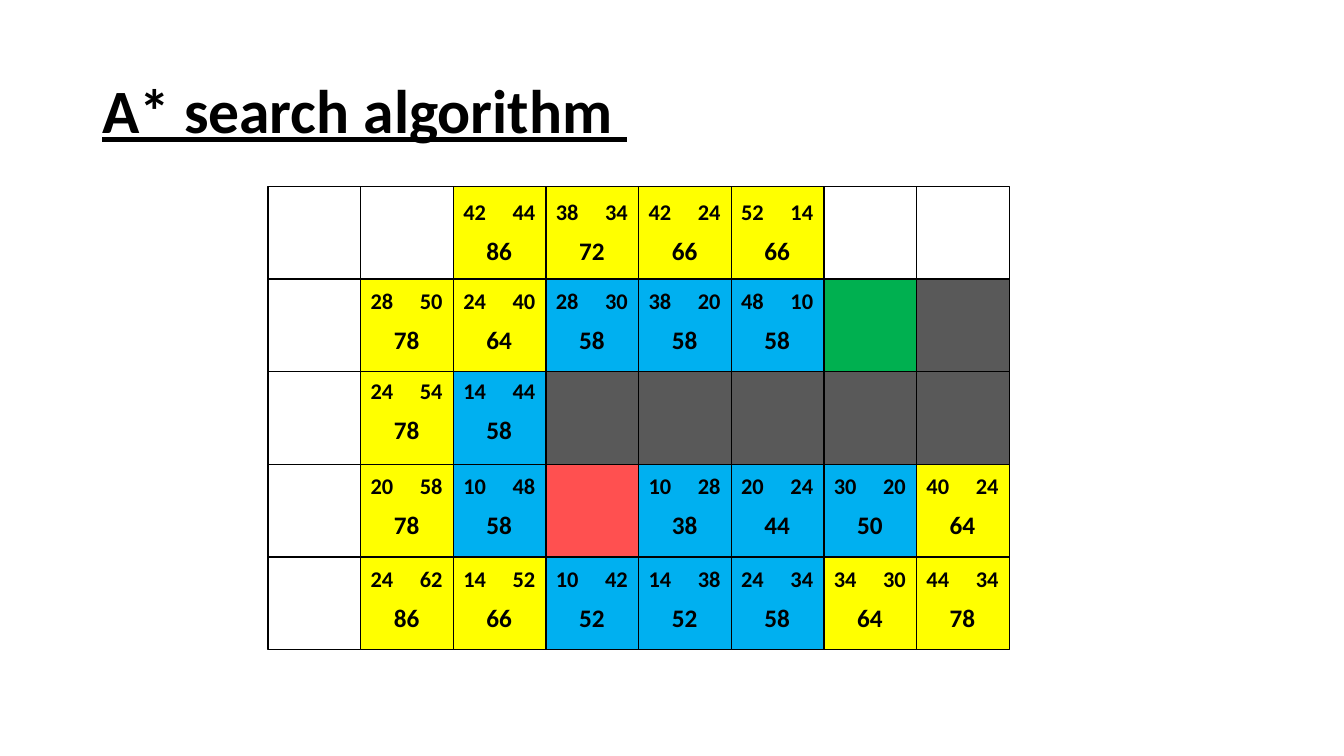
from pptx import Presentation
from pptx import util as u
from pptx.dml.color import RGBColor
from pptx.enum import shapes, text

BLACK = "000000"
FILLS = {"open": "FFFF00", "closed": "00B0F0", "wall": "595959",
         "start": "FF5050", "goal": "00B050", "empty": None}

# Each node: state, then cost from start (g) and estimate to goal (h) if known
GRID = [
    ["empty", "empty", "open 42 44", "open 38 34",
     "open 42 24", "open 52 14", "empty", "empty"],
    ["empty", "open 28 50", "open 24 40", "closed 28 30",
     "closed 38 20", "closed 48 10", "goal", "wall"],
    ["empty", "open 24 54", "closed 14 44", "wall",
     "wall", "wall", "wall", "wall"],
    ["empty", "open 20 58", "closed 10 48", "start",
     "closed 10 28", "closed 20 24", "closed 30 20", "open 40 24"],
    ["empty", "open 24 62", "open 14 52", "closed 10 42",
     "closed 14 38", "closed 24 34", "open 34 30", "open 44 34"],
]
LABEL_TOPS = [4.8, 2, 0, 2, 2]  # label offset inside the cells of each row


def color(hex_string):
    return RGBColor.from_string(hex_string)


def add_text(slide, box, content, size, wrap=False, underline=None,
             anchor=text.MSO_ANCHOR.TOP, spacing=None):
    sp = slide.shapes.add_textbox(*map(u.Pt, box))
    tf = sp.text_frame
    tf.word_wrap = wrap
    tf.vertical_anchor = anchor
    p = tf.paragraphs[0]
    p.line_spacing = spacing
    r = p.add_run()
    r.text = content
    r.font.name = "Calibri"
    r.font.size = u.Pt(size)
    r.font.bold = True
    r.font.underline = underline
    r.font.color.rgb = color(BLACK)


def add_title(slide, box):
    add_text(slide, box, "A* search algorithm ", 44, wrap=True, underline=True,
             anchor=text.MSO_ANCHOR.MIDDLE, spacing=0.9)


def add_node(slide, box, node, label_top):
    left, top, width, height = box
    state, *costs = node.split()

    # Cell
    sp = slide.shapes.add_shape(shapes.MSO_SHAPE.RECTANGLE, *map(u.Pt, box))
    sp.shadow.inherit = False
    sp.line.color.rgb = color(BLACK)
    sp.line.width = u.Pt(1)
    if FILLS[state]:
        sp.fill.solid()
        sp.fill.fore_color.rgb = color(FILLS[state])
    else:
        sp.fill.background()

    # Costs g and h above, their sum f below
    if costs:
        g, h = costs
        y = top + label_top
        add_text(slide, (left, y, 31, 26.6), g, 16)
        add_text(slide, (left + 35.2, y, 31, 26.6), h, 16)
        add_text(slide, (left + 16.6, y + 26.6, 33, 29), str(int(g) + int(h)), 18)


def add_grid(slide, box):
    left, top, width, height = box
    cell_w, cell_h = width / len(GRID[0]), height / len(GRID)
    for row, (nodes, label_top) in enumerate(zip(GRID, LABEL_TOPS)):
        for col, node in enumerate(nodes):
            cell = (left + col * cell_w, top + row * cell_h, cell_w, cell_h)
            add_node(slide, cell, node, label_top)


def main():
    prs = Presentation()
    prs.slide_width, prs.slide_height = u.Pt(960), u.Pt(540)
    slide = prs.slides.add_slide(prs.slide_layouts[6])
    add_title(slide, (66, 28.75, 828, 104.4))
    add_grid(slide, (191.5, 133.2, 529.4, 330.9))
    prs.save("out.pptx")


if __name__ == "__main__":
    main()
